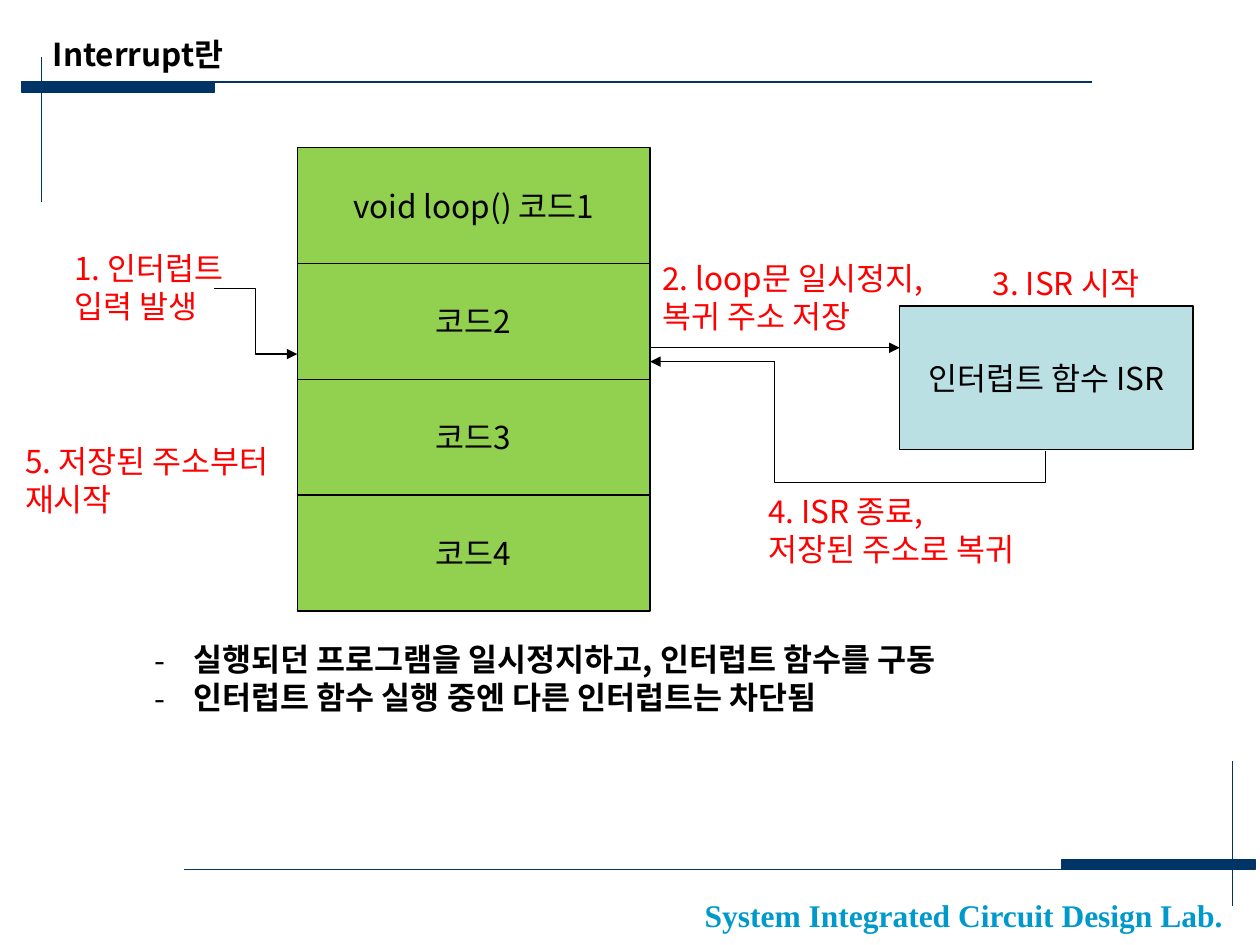
"""Build the slide that explains how an interrupt suspends and resumes a program."""
from dataclasses import dataclass

from lxml.etree import SubElement
from pptx import Presentation
from pptx.dml.color import RGBColor
from pptx.enum.shapes import MSO_CONNECTOR, MSO_SHAPE
from pptx.enum.text import MSO_ANCHOR, PP_ALIGN
from pptx.oxml.ns import qn
from pptx.util import Inches, Pt

COLORS = {"black": "000000", "navy": "003366", "red": "FF0000",
          "green": "92D050", "aqua": "BBE0E3", "sky": "0099CC"}
KOREAN = "Noto Sans CJK KR"
SERIF = "Times New Roman"


@dataclass
class Label:
    x: float
    y: float
    w: float
    h: float
    paras: list[str]
    color: str = "red"
    bold: bool = False
    font: str = KOREAN
    align: PP_ALIGN = PP_ALIGN.LEFT
    bullet: str = ""


@dataclass
class Block:
    x: float
    y: float
    w: float
    h: float
    text: str
    fill: str


@dataclass
class Link:
    x1: float
    y1: float
    x2: float
    y2: float
    kind: MSO_CONNECTOR = MSO_CONNECTOR.STRAIGHT
    color: str = "black"
    width: float = 0.75
    arrow: bool = True


def rgb(name: str) -> RGBColor:
    return RGBColor.from_string(COLORS[name])


def write(p, text: str, color: str, bold: bool = False, font: str = KOREAN) -> None:
    for i, part in enumerate(text.split("\n")):
        if i:
            p.add_line_break()
        r = p.add_run()
        r.text = part
        r.font.size = Pt(18)
        r.font.bold = bold
        r.font.color.rgb = rgb(color)
        r.font.name = font
        SubElement(r.font._element, qn("a:ea"), typeface=font)


def add_bullet(p, char: str) -> None:
    pPr = p._p.get_or_add_pPr()
    pPr.set("marL", str(Inches(0.31)))
    pPr.set("indent", str(-Inches(0.31)))
    SubElement(pPr, qn("a:buFont"), typeface=KOREAN)
    SubElement(pPr, qn("a:buChar"), char=char)


def add_label(s, label: Label) -> None:
    sp = s.shapes.add_textbox(Inches(label.x), Inches(label.y),
                              Inches(label.w), Inches(label.h))
    tf = sp.text_frame
    tf.word_wrap = True
    for i, text in enumerate(label.paras):
        p = tf.add_paragraph() if i else tf.paragraphs[0]
        p.alignment = label.align
        if label.bullet:
            add_bullet(p, label.bullet)
        write(p, text, label.color, label.bold, label.font)


def add_block(s, block: Block) -> None:
    sp = s.shapes.add_shape(MSO_SHAPE.RECTANGLE, Inches(block.x), Inches(block.y),
                            Inches(block.w), Inches(block.h))
    sp.shadow.inherit = False
    sp.fill.solid()
    sp.fill.fore_color.rgb = rgb(block.fill)
    sp.line.color.rgb = rgb("black")
    sp.line.width = Pt(0.75)
    tf = sp.text_frame
    tf.word_wrap = False
    tf.vertical_anchor = MSO_ANCHOR.MIDDLE
    p = tf.paragraphs[0]
    p.alignment = PP_ALIGN.CENTER
    write(p, block.text, "black")


def add_link(s, link: Link):
    cx = s.shapes.add_connector(link.kind, Inches(link.x1), Inches(link.y1),
                                Inches(link.x2), Inches(link.y2))
    cx.line.color.rgb = rgb(link.color)
    cx.line.width = Pt(link.width)
    if link.arrow:
        SubElement(cx.line._get_or_add_ln(), qn("a:tailEnd"), type="triangle")
    SubElement(cx._element.spPr, qn("a:effectLst"))
    return cx


def add_return_link(s, x1: float, y1: float, x2: float, y2: float) -> None:
    w, h = y1 - y2, x1 - x2
    left, top = (x1 + x2 - w) / 2, (y1 + y2 - h) / 2
    cx = add_link(s, Link(left, top + h, left + w, top, MSO_CONNECTOR.ELBOW))
    spPr = cx._element.spPr
    spPr.find(qn("a:xfrm")).set("rot", str(270 * 60000))
    geom = spPr.find(qn("a:prstGeom"))
    geom.set("prst", "bentConnector4")
    avLst = geom.find(qn("a:avLst"))
    for name, value in (("adj1", -35200), ("adj2", 68500)):
        SubElement(avLst, qn("a:gd"), name=name, fmla=f"val {value}")


def add_rule(s, x: float, y: float, bar: float, rule: float, thick: float) -> None:
    x0, y0 = Inches(x), Inches(y)
    x1, y1 = Inches(x + bar), Inches(y + thick)
    fb = s.shapes.build_freeform(x0, y0)
    fb.add_line_segments([(x1, y0), (x1, y1), (x0, y1)], close=True)
    fb.move_to(x0, y0)
    fb.add_line_segments([(Inches(x + rule), y0)], close=False)
    sp = fb.convert_to_shape()
    sp.shadow.inherit = False
    sp.fill.solid()
    sp.fill.fore_color.rgb = rgb("navy")
    sp.line.color.rgb = rgb("navy")
    sp.line.width = Pt(0.75)


CODES = ["void loop() 코드1", "코드2", "코드3", "코드4"]
CODE_H = 0.92
BLOCKS = [Block(2.36, 1.17 + i * CODE_H, 2.8, CODE_H, text, "green")
          for i, text in enumerate(CODES)]
BLOCKS.append(Block(7.14, 2.43, 2.33, 1.14, "인터럽트 함수 ISR", "aqua"))

LINKS = [
    Link(9.78, 7.19, 9.78, 6.04, color="navy", width=0.25, arrow=False),
    Link(0.33, 1.6, 0.33, 0.45, color="navy", width=0.25, arrow=False),
    Link(1.7, 2.29, 2.36, 2.81, MSO_CONNECTOR.ELBOW),
    Link(5.16, 2.76, 7.14, 2.76),
]

LABELS = [
    Label(5.47, 7.06, 4.36, 0.4, ["System Integrated Circuit Design Lab."],
          "sky", True, SERIF, PP_ALIGN.CENTER),
    Label(0.32, 0.23, 7.03, 0.4, ["Interrupt란"], "black", True),
    Label(0.49, 1.93, 1.69, 0.7, ["1. 인터럽트\n입력 발생"]),
    Label(5.16, 2.01, 2.49, 0.7, ["2. loop문 일시정지,", "복귀 주소 저장"]),
    Label(7.78, 2.05, 1.59, 0.4, ["3. ISR 시작"]),
    Label(6, 3.86, 2.71, 0.7, ["4. ISR 종료,\n저장된 주소로 복귀"]),
    Label(0.1, 3.46, 2.71, 0.7, ["5. 저장된 주소부터 재시작"]),
    Label(1.13, 5.03, 8.63, 0.7,
          ["실행되던 프로그램을 일시정지하고, 인터럽트 함수를 구동",
           "인터럽트 함수 실행 중엔 다른 인터럽트는 차단됨"],
          "black", True, bullet="-"),
]


def main() -> None:
    prs = Presentation()
    prs.slide_width, prs.slide_height = Inches(10), Inches(7.5)
    s = prs.slides.add_slide(prs.slide_layouts[6])
    add_rule(s, 9.96, 6.9, -1.53, -8.5, -0.08)
    add_rule(s, 0.17, 0.65, 1.53, 8.5, 0.08)
    for block in BLOCKS:
        add_block(s, block)
    for link in LINKS:
        add_link(s, link)
    add_return_link(s, 8.3, 3.58, 5.16, 2.87)
    for label in LABELS:
        add_label(s, label)
    prs.save("out.pptx")


if __name__ == "__main__":
    main()
